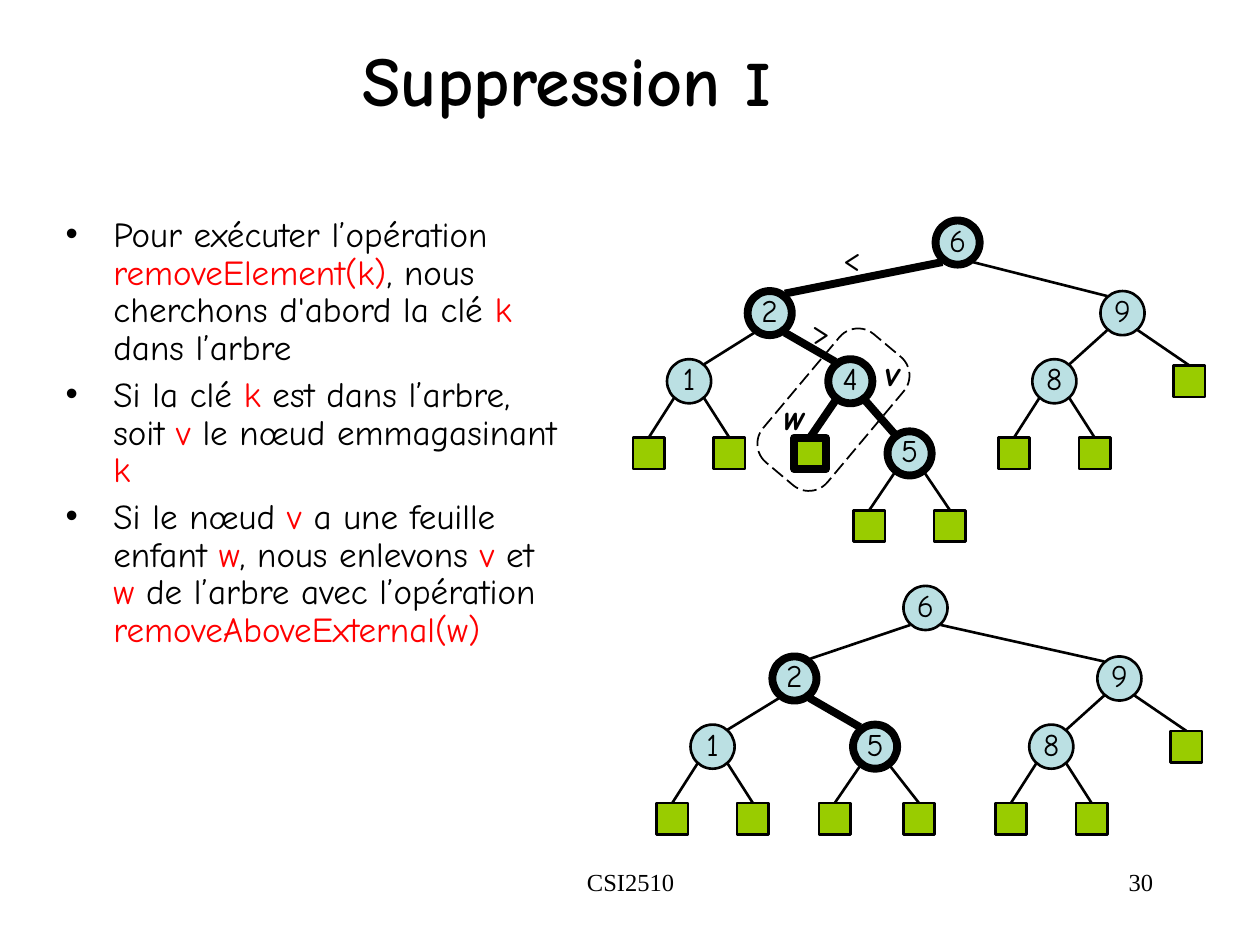
import lxml.etree
import pptx
import pptx.dml.color
import pptx.enum.dml
import pptx.enum.shapes
import pptx.enum.text
import pptx.oxml.ns
import pptx.util

Inches, Pt = pptx.util.Inches, pptx.util.Pt
RGBColor = pptx.dml.color.RGBColor
Shape = pptx.enum.shapes.MSO_SHAPE
Align = pptx.enum.text.PP_ALIGN
Anchor = pptx.enum.text.MSO_ANCHOR
AutoSize = pptx.enum.text.MSO_AUTO_SIZE
qn = pptx.oxml.ns.qn

BLACK = RGBColor(0x00, 0x00, 0x00)
RED = RGBColor(0xFF, 0x00, 0x00)
NODE_BLUE = RGBColor(0xBB, 0xE0, 0xE3)
LEAF_GREEN = RGBColor(0x99, 0xCC, 0x00)
FONT, FOOTER_FONT = "Comic Neue", "Times New Roman"

WIDTH, HEIGHT = Inches(10), Inches(7.5)

# Trees lie on a grid whose step is half the gap between sibling leaves
STEP = Inches(0.32)
LEVELS = (0, 1.75, 3.44, 5.23, 7.03)  # centre of each level, in steps below the root
NODE_SIZE, LEAF_SIZE = Inches(0.35), Inches(0.25)
THIN, THICK = 1.5, 4.5

# Bars enclose the red words
BULLETS = (
    "Pour exécuter l’opération |removeElement(k)|, nous cherchons d'abord la clé |k |dans l’arbre",
    "Si la clé |k| est dans l’arbre, soit |v| le nœud emmagasinant |k|",
    "Si le nœud |v| a une feuille enfant |w|, nous enlevons |v| et |w"
    "| de l’arbre avec l’opération |removeAboveExternal(w)|",
)


def tree(offset, key="", children=(), thick=False):
    """Describe a node by its offset in steps from its parent; no key means a leaf."""
    return {"offset": offset, "key": key, "children": children, "thick": thick}


def leaves(left=-1, right=1):
    return tree(left), tree(right)


def right_subtree(offset):
    return tree(offset, "9", (tree(-1.69, "8", leaves()), tree(1.66)))


TREE_BEFORE = tree(0, "6", (
    tree(-4.66, "2", (
        tree(-2, "1", leaves()),
        tree(2, "4", (tree(-1, thick=True), tree(1.47, "5", leaves(), True)), True),
    ), True),
    right_subtree(4.09),
), True)

TREE_AFTER = tree(0, "6", (
    tree(-3.25, "2", (
        tree(-2.03, "1", leaves()),
        tree(2, "5", leaves(right=1.09), True),
    ), True),
    right_subtree(4.81),
))


def share(x, y, width, height):
    """Turn shares of the slide's size into a position and a size."""
    return int(x * WIDTH), int(y * HEIGHT), int(width * WIDTH), int(height * HEIGHT)


def write_text(paragraph, text, size=20, font=FONT, color=BLACK, bold=False, italic=False, align=None):
    if align is not None:
        paragraph.alignment = align
    run = paragraph.add_run()
    run.text = text
    run.font.size, run.font.name = Pt(size), font
    run.font.bold, run.font.italic = bold, italic
    run.font.color.rgb = color


def place(shape, box):
    shape.left, shape.top, shape.width, shape.height = box


def fill_title(title):
    place(title, share(0.025, 0, 0.85, 0.167))
    title.text_frame.auto_size = AutoSize.NONE
    title.text_frame.vertical_anchor = Anchor.MIDDLE
    paragraph = title.text_frame.paragraphs[0]
    write_text(paragraph, "Suppression ", size=40, bold=True, align=Align.CENTER)
    write_text(paragraph, "I", size=36, bold=True)


def add_bullet(paragraph):
    properties = paragraph._p.get_or_add_pPr()
    properties.set("marL", str(Inches(0.38)))
    properties.set("indent", str(-Inches(0.38)))
    color = lxml.etree.SubElement(properties, qn("a:buClr"))
    lxml.etree.SubElement(color, qn("a:srgbClr"), val=str(BLACK))
    lxml.etree.SubElement(properties, qn("a:buChar"), char="•")


def fill_body(body):
    place(body, share(0.042, 0.223, 0.414, 0.644))
    frame = body.text_frame
    frame.auto_size = AutoSize.NONE
    for index, text in enumerate(BULLETS):
        paragraph = frame.add_paragraph() if index else frame.paragraphs[0]
        add_bullet(paragraph)
        paragraph.line_spacing = 0.9
        paragraph.space_before = Pt(5 if index else 0)
        for part, words in enumerate(text.split("|")):
            if words:
                write_text(paragraph, words, color=RED if part % 2 else BLACK)


def add_label(slide, text, box, wrap=False, **text_format):
    frame = slide.shapes.add_textbox(*box).text_frame
    frame.word_wrap = wrap
    frame.auto_size = AutoSize.NONE if wrap else AutoSize.SHAPE_TO_FIT_TEXT
    write_text(frame.paragraphs[0], text, **text_format)


def add_node(slide, node, x, y):
    kind, size, color = (
        (Shape.OVAL, NODE_SIZE, NODE_BLUE) if node["key"] else (Shape.RECTANGLE, LEAF_SIZE, LEAF_GREEN)
    )
    shape = slide.shapes.add_shape(kind, x - size // 2, y - size // 2, size, size)
    shape.shadow.inherit = False
    shape.fill.solid()
    shape.fill.fore_color.rgb = color
    shape.line.color.rgb = BLACK
    shape.line.width = Pt(THICK if node["thick"] else THIN)
    if node["key"]:
        frame = shape.text_frame
        frame.word_wrap = False
        frame.vertical_anchor = Anchor.MIDDLE
        frame.margin_left = frame.margin_right = frame.margin_top = 0
        frame.margin_bottom = Inches(0.05)
        write_text(frame.paragraphs[0], node["key"], size=18, align=Align.CENTER)
    return shape


def rim(node, x, y, side, direction):
    """Find the point on a round node's rim where an edge meets it."""
    rise = Inches(0.155 if node["thick"] else 0.135)
    return x + side * Inches(0.12), y + direction * rise


def add_edge(slide, parent, start, child, end, child_shape):
    side = 1 if end[0] > start[0] else -1
    begin_point = rim(parent, *start, side, 1)
    end_point = rim(child, *end, -side, -1)
    connector = slide.shapes.add_connector(
        pptx.enum.shapes.MSO_CONNECTOR.STRAIGHT, *begin_point, *end_point
    )
    if not child["key"]:
        connector.end_connect(child_shape, 0)
    connector.line.color.rgb = BLACK
    connector.line.width = Pt(THICK if parent["thick"] and child["thick"] else THIN)
    lxml.etree.SubElement(connector._element.spPr, qn("a:effectLst"))


def add_tree(slide, node, x, root_y, level=0):
    y = root_y + int(LEVELS[level] * STEP)
    shape = add_node(slide, node, x, y)
    for child in node["children"]:
        child_x = x + int(child["offset"] * STEP)
        child_y = root_y + int(LEVELS[level + 1] * STEP)
        child_shape = add_tree(slide, child, child_x, root_y, level + 1)
        add_edge(slide, node, (x, y), child, (child_x, child_y), child_shape)
    return shape


def add_dashed_outline(slide):
    outline = slide.shapes.add_shape(Shape.ROUNDED_RECTANGLE, *share(0.595, 0.389, 0.133, 0.089))
    outline.adjustments[0] = 0.29
    outline.rotation = 310
    outline.shadow.inherit = False
    outline.fill.background()
    outline.line.color.rgb = BLACK
    outline.line.width = Pt(1)
    outline.line.dash_style = pptx.enum.dml.MSO_LINE.LONG_DASH


def main():
    presentation = pptx.Presentation()
    presentation.slide_width, presentation.slide_height = WIDTH, HEIGHT
    slide = presentation.slides.add_slide(presentation.slide_layouts[1])

    # Footer
    footer = {"wrap": True, "size": 14, "font": FOOTER_FONT}
    add_label(slide, "CSI2510", share(0.342, 0.911, 0.317, 0.067), align=Align.CENTER, **footer)
    add_label(slide, "30", share(0.717, 0.911, 0.208, 0.067), align=Align.RIGHT, **footer)

    # Title and list
    fill_title(slide.shapes.title)
    fill_body(slide.placeholders[1])

    # Trees before and after the removal
    add_tree(slide, TREE_BEFORE, Inches(7.6), Inches(1.925))
    add_tree(slide, TREE_AFTER, Inches(7.345), Inches(4.825))

    # Names of the removed nodes, and comparisons along the search
    for text, x, y, width, bold in (
        ("v", 0.692, 0.365, 0.032, True),
        ("w", 0.612, 0.412, 0.036, True),
        ("<", 0.659, 0.244, 0.034, False),
        (">", 0.634, 0.321, 0.035, False),
    ):
        add_label(slide, text, share(x, y, width, 0.059), bold=bold, italic=bold, align=Align.CENTER)
    add_dashed_outline(slide)

    presentation.save("out.pptx")


if __name__ == "__main__":
    main()
